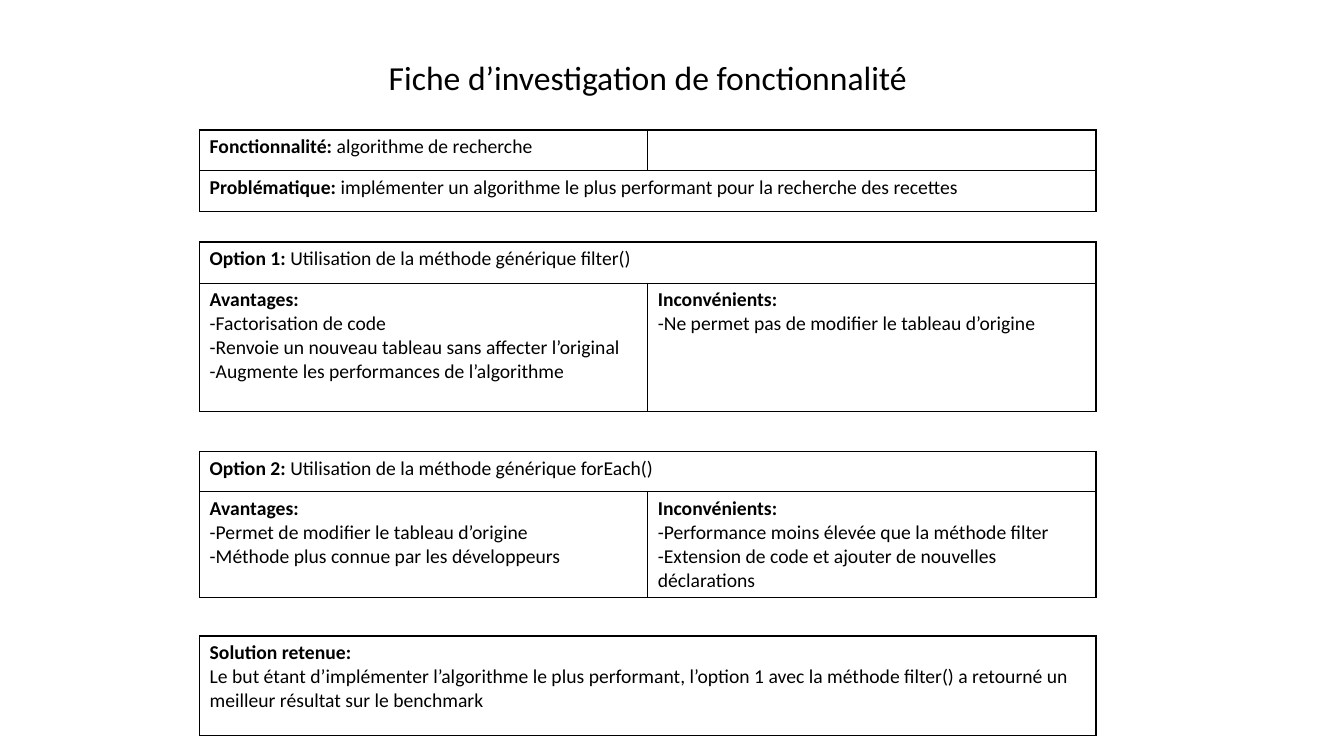
from dataclasses import dataclass

from lxml import etree
from pptx import Presentation
from pptx.dml.color import RGBColor
from pptx.enum.text import MSO_ANCHOR, PP_ALIGN
from pptx.oxml.ns import qn
from pptx.util import Inches, Pt

CENTER = PP_ALIGN.CENTER
MIDDLE = MSO_ANCHOR.MIDDLE


@dataclass(frozen=True)
class Theme:
    """Colours, font and sizes of the sheet."""
    ink: str = "000000"
    paper: str = "FFFFFF"
    font: str = "Calibri"
    title: int = 24
    body: int = 14
    border: int = 1


THEME = Theme()
LEFT, TOP, WIDTH = 1.98, 1.29, 8.89
ROW = 0.41


def add_run(p, text, size=THEME.body, bold=False):
    """Append a run in the theme's font and ink."""
    r = p.add_run()
    r.text = text
    r.font.name = THEME.font
    r.font.size = Pt(size)
    r.font.bold = bold
    r.font.color.rgb = RGBColor.from_string(THEME.ink)


def style_cell(cell):
    """Give a cell four thin borders and a plain fill."""
    tcPr = cell._tc.get_or_add_tcPr()
    for side in ("a:lnL", "a:lnR", "a:lnT", "a:lnB"):
        ln = etree.SubElement(tcPr, qn(side), w=str(Pt(THEME.border)))
        fill = etree.SubElement(ln, qn("a:solidFill"))
        etree.SubElement(fill, qn("a:srgbClr"), val=THEME.ink)
    cell.fill.solid()
    cell.fill.fore_color.rgb = RGBColor.from_string(THEME.paper)


# Each table: gap above, height, cells; each cell: paragraphs of (bold, regular)
TABLES = [
    (0, 0.4, [[("Fonctionnalité: ", "algorithme de recherche")], []]),
    (0, ROW, [[("Problématique: ",
                "implémenter un algorithme le plus performant pour la recherche des recettes")]]),
    (0.3, ROW, [[("Option 1: ", "Utilisation de la méthode générique filter()")]]),
    (0, 1.27, [
        [("Avantages: ", ""),
         ("", "-Factorisation de code"),
         ("", "-Renvoie un nouveau tableau sans affecter l’original"),
         ("", "-Augmente les performances de l’algorithme")],
        [("Inconvénients: ", ""),
         ("", "-Ne permet pas de modifier le tableau d’origine")],
    ]),
    (0.4, 0.4, [[("Option 2: ", "Utilisation de la méthode générique forEach()")]]),
    (0, 1.03, [
        [("Avantages: ", ""),
         ("", "-Permet de modifier le tableau d’origine"),
         ("", "-Méthode plus connue par les développeurs")],
        [("Inconvénients: ", ""),
         ("", "-Performance moins élevée que la méthode filter"),
         ("", "-Extension de code et ajouter de nouvelles déclarations")],
    ]),
    (0.4, 0.99, [
        [("Solution retenue:", ""),
         ("", "Le but étant d’implémenter l’algorithme le plus performant, l’option 1 "
              "avec la méthode filter() a retourné un meilleur résultat sur le benchmark")],
    ]),
]

prs = Presentation()
prs.slide_width, prs.slide_height = Inches(13.33), Inches(7.5)
s = prs.slides.add_slide(prs.slide_layouts[5])

title = s.shapes.title
title.left, title.top = Inches(2.56), Inches(0.51)
title.width, title.height = Inches(7.73), Inches(0.5)
tf = title.text_frame
tf.word_wrap = True
tf.vertical_anchor = MIDDLE
p = tf.paragraphs[0]
p.alignment = CENTER
add_run(p, "Fiche d’investigation de fonctionnalité", size=THEME.title)

top = TOP
for gap, height, cells in TABLES:
    top += gap
    table = s.shapes.add_table(1, len(cells), Inches(LEFT), Inches(top),
                               Inches(WIDTH), Inches(height)).table
    table.first_row = table.horz_banding = False
    for cell, paragraphs in zip(table.rows[0].cells, cells):
        style_cell(cell)
        tf = cell.text_frame
        for i, (label, text) in enumerate(paragraphs):
            p = tf.add_paragraph() if i else tf.paragraphs[0]
            if label:
                add_run(p, label, bold=True)
            if text:
                add_run(p, text)
    top += height

prs.save("out.pptx")
